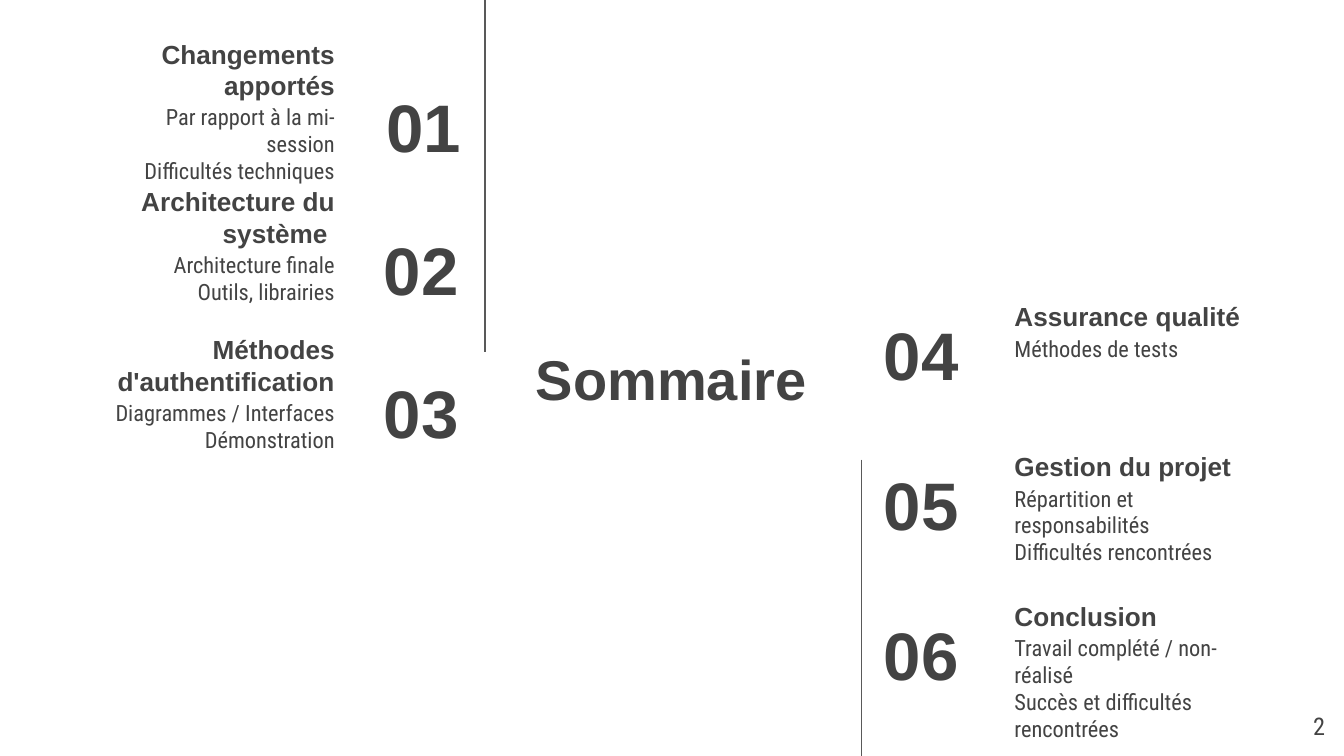
from dataclasses import dataclass

from lxml.etree import SubElement
from pptx import Presentation
from pptx.dml.color import RGBColor
from pptx.enum.shapes import MSO_CONNECTOR as Connector
from pptx.enum.text import MSO_ANCHOR as Anchor, MSO_AUTO_SIZE as AutoSize, PP_ALIGN as Align
from pptx.oxml.ns import qn
from pptx.util import Pt


@dataclass(frozen=True)
class Theme:
    """Colours, fonts and type sizes of the slide."""
    ink: RGBColor = RGBColor(0x43, 0x43, 0x43)
    rule: RGBColor = RGBColor(0x59, 0x59, 0x59)
    paper: RGBColor = RGBColor(0xFF, 0xFF, 0xFF)
    display: str = "Arial"
    text: str = "Roboto Condensed"
    title: float = 30
    number: float = 36
    heading: float = 14
    body: float = 12
    page: float = 13


THEME = Theme()
HEADING_WIDTH, BODY_WIDTH, ROW_HEIGHT = 155.5, 131.75, 45.4
BODY_DROP = 32.5

LEFT_TOPICS = [
    ("01", "Changements apportés", ["Par rapport à la mi-session", "Difficultés techniques"]),
    ("02", "Architecture du système ", ["Architecture finale", "Outils, librairies"]),
    ("03", "Méthodes d'authentification", ["Diagrammes / Interfaces", "Démonstration"]),
]
RIGHT_TOPICS = [
    ("04", "Assurance qualité", ["Méthodes de tests"]),
    ("05", "Gestion du projet", ["Répartition et responsabilités", "Difficultés rencontrées"]),
    ("06", "Conclusion",
     ["Travail complété / non-réalisé", "Succès et difficultés rencontrées"]),
]


def apply_format(target, values):
    """Set each named attribute on the target."""
    for name, value in values.items():
        setattr(target, name, value)


def write_text(shape, lines, size, align, anchor=Anchor.TOP, bold=False):
    """Fill a shape with formatted paragraphs."""
    inset = Pt(7.2)
    frame = shape.text_frame
    frame.text = "\n".join(lines)
    apply_format(frame, {
        "word_wrap": True, "auto_size": AutoSize.NONE, "vertical_anchor": anchor,
        "margin_left": inset, "margin_right": inset,
        "margin_top": inset, "margin_bottom": inset,
    })
    for paragraph in frame.paragraphs:
        apply_format(paragraph, {"alignment": align, "line_spacing": 1.0,
                                 "space_before": Pt(0), "space_after": Pt(0)})
        apply_format(paragraph.font, {"name": THEME.display if bold else THEME.text,
                                      "size": Pt(size), "bold": bold})
        paragraph.font.color.rgb = THEME.ink


def add_text(slide, box, lines, size, align, **options):
    """Add a text box in the given box."""
    shape = slide.shapes.add_textbox(*map(Pt, box))
    write_text(shape, lines, size, align, **options)


def add_title(slide, box, text):
    """Place the title placeholder in the given box."""
    title = slide.shapes.title
    apply_format(title, dict(zip(("left", "top", "width", "height"), map(Pt, box))))
    write_text(title, [text], THEME.title, Align.CENTER, anchor=Anchor.MIDDLE, bold=True)


def add_topics(slide, origin, pitch, topics, align):
    """Stack headings with their details in a column from the origin."""
    left, top = origin
    inner_left = left + HEADING_WIDTH - BODY_WIDTH if align == Align.RIGHT else left
    for row, (_, heading, details) in enumerate(topics):
        row_top = top + row * pitch
        add_text(slide, (left, row_top, HEADING_WIDTH, ROW_HEIGHT), [heading],
                 THEME.heading, align, anchor=Anchor.BOTTOM, bold=True)
        add_text(slide, (inner_left, row_top + BODY_DROP, BODY_WIDTH, ROW_HEIGHT), details,
                 THEME.body, align)


def add_numbers(slide, boxes, topics, align):
    """Write each topic's number in its box."""
    for box, (number, _, _) in zip(boxes, topics):
        add_text(slide, box, [number], THEME.number, align, anchor=Anchor.MIDDLE, bold=True)


def add_rule(slide, x, top, bottom):
    """Draw a thin vertical line."""
    line = slide.shapes.add_connector(Connector.STRAIGHT, Pt(x), Pt(top), Pt(x), Pt(bottom))
    line.line.color.rgb = THEME.rule
    line.line.width = Pt(0.75)
    SubElement(line._element.spPr, qn("a:effectLst"))


def build_summary(slide, width, height):
    """Lay out the summary slide."""
    slide.background.fill.solid()
    slide.background.fill.fore_color.rgb = THEME.paper
    add_title(slide, (266.4, 165.6, 186.5, 74.2), "Sommaire")

    add_topics(slide, (31, 15.8), 79.2, LEFT_TOPICS, Align.RIGHT)
    left_boxes = [(x, 44.8 + row * 76.6, 87.1, ROW_HEIGHT)
                  for row, x in enumerate((167, 165.6, 165.6))]
    add_numbers(slide, left_boxes, LEFT_TOPICS, Align.RIGHT)

    add_topics(slide, (536.4, 139.8), 80.2, RIGHT_TOPICS, Align.LEFT)
    right_boxes = [(466.5, 167 + row * 80.3, 84.2, ROW_HEIGHT) for row in range(3)]
    add_numbers(slide, right_boxes, RIGHT_TOPICS, Align.LEFT)

    add_rule(slide, 259.9, 0, 188.6)
    add_rule(slide, 461.5, 246.2, height)
    add_text(slide, (width - 46, height - 31, 43, 31), ["2"], THEME.page, Align.RIGHT)


def main():
    """Build and save the presentation."""
    width, height = 720, 405
    presentation = Presentation()
    apply_format(presentation, {"slide_width": Pt(width), "slide_height": Pt(height)})
    slide = presentation.slides.add_slide(presentation.slide_layouts.get_by_name("Title Only"))
    build_summary(slide, width, height)
    presentation.save("out.pptx")


if __name__ == "__main__":
    main()
